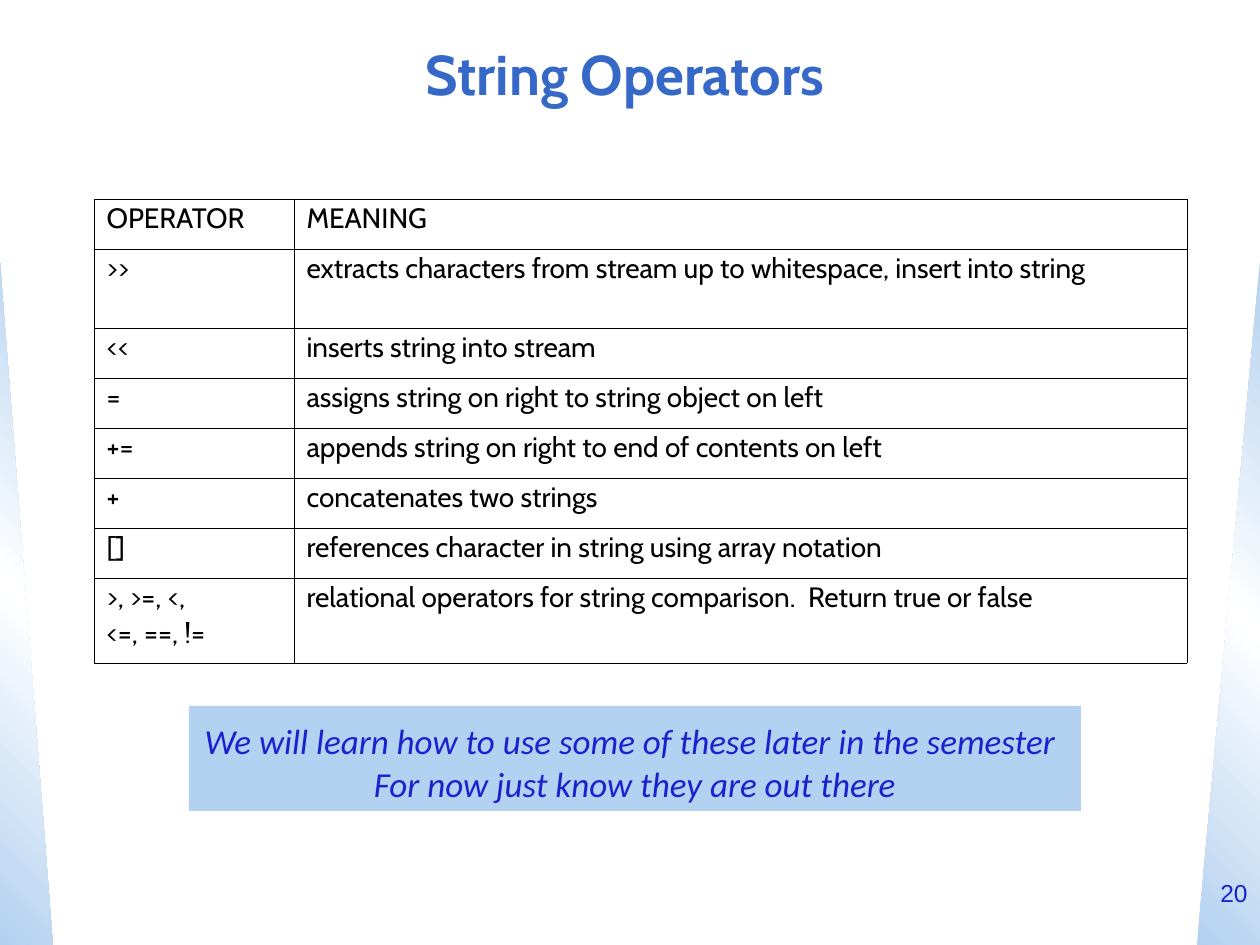
from copy import deepcopy
from dataclasses import dataclass

from lxml import etree
from pptx import Presentation
from pptx.dml.color import RGBColor
from pptx.enum.shapes import MSO_SHAPE
from pptx.enum.text import MSO_ANCHOR, PP_ALIGN
from pptx.oxml.ns import qn
from pptx.util import Emu, Pt

RECT, WEDGE = MSO_SHAPE.RECTANGLE, MSO_SHAPE.RIGHT_TRIANGLE
TOP, MIDDLE = MSO_ANCHOR.TOP, MSO_ANCHOR.MIDDLE
LEFT, CENTER, RIGHT = PP_ALIGN.LEFT, PP_ALIGN.CENTER, PP_ALIGN.RIGHT
SCALE = 914400 / 126


def px(count):
    return Emu(round(count * SCALE))


@dataclass(frozen=True)
class Font:
    name: str
    size: int
    color: str
    bold: bool = False
    italic: bool = False


@dataclass(frozen=True)
class Theme:
    pale: str = "B3D1F0"
    white: str = "FFFFFF"
    line: str = "000000"
    outer: float = 0.23
    inner: float = 0.11
    title: Font = Font("Cabin", 32, "3568C7", bold=True)
    cell: Font = Font("Cabin", 16, "000000")
    note: Font = Font("Calibri", 20, "1822CD", italic=True)
    space: Font = Font("Calibri", 24, "1822CD", italic=True)
    number: Font = Font("Arial", 14, "1822CD")


class Deck:
    def __init__(self, theme):
        self.theme = theme
        self.file = Presentation()
        self.file.slide_width, self.file.slide_height = px(1260), px(945)
        self.slide = self.file.slides.add_slide(self.file.slide_layouts[6])

    def put(self, frame, lines, align=LEFT, spacing=None, before=0):
        """Fill a frame; each line is a list of (text, font) runs."""
        frame.word_wrap = True
        for index, runs in enumerate(lines):
            para = frame.add_paragraph() if index else frame.paragraphs[0]
            para.alignment = align
            if spacing:
                para.line_spacing = spacing
            if index and before:
                para.space_before = Pt(before)
            for text, style in runs:
                run = para.add_run()
                run.text = text
                font = run.font
                font.name, font.size = style.name, Pt(style.size)
                font.bold, font.italic = style.bold, style.italic
                font.color.rgb = RGBColor.from_string(style.color)

    def shape(self, kind, box):
        shape = self.slide.shapes.add_shape(kind, *map(px, box))
        shape.shadow.inherit = False
        shape.line.fill.background()
        return shape

    def wedge(self, box, angle, flip=False):
        shape = self.shape(WEDGE, box)
        if flip:
            shape.element.spPr.xfrm.set("flipH", "1")
        fill = shape.fill
        fill.gradient()
        fill.gradient_angle = angle
        stops = shape.element.spPr.find(".//" + qn("a:gsLst"))
        stops.insert(1, deepcopy(stops[0]))
        colors = (self.theme.pale, self.theme.white, self.theme.pale)
        for stop, place, color in zip(fill.gradient_stops, (0, 0.5, 1), colors):
            stop.position = place
            stop.color.rgb = RGBColor.from_string(color)

    def text(self, box, lines, align, anchor=TOP):
        frame = self.slide.shapes.add_textbox(*map(px, box)).text_frame
        frame.vertical_anchor = anchor
        self.put(frame, lines, align)

    def panel(self, box, lines):
        shape = self.shape(RECT, box)
        shape.fill.solid()
        shape.fill.fore_color.rgb = RGBColor.from_string(self.theme.pale)
        shape.text_frame.vertical_anchor = TOP
        self.put(shape.text_frame, lines, CENTER)

    def border(self, cell, edges):
        """Draw the four sides; edges maps a side to whether it is outer."""
        props = cell._tc.get_or_add_tcPr()
        for side, outer in edges.items():
            width = self.theme.outer if outer else self.theme.inner
            line = etree.SubElement(props, qn("a:ln" + side), w=str(Pt(width)))
            fill = etree.SubElement(line, qn("a:solidFill"))
            etree.SubElement(fill, qn("a:srgbClr"), val=self.theme.line)

    def table(self, left, top, widths, heights, rows):
        box = (left, top, sum(widths), sum(heights))
        grid = self.slide.shapes.add_table(
            len(heights), len(widths), *map(px, box)).table
        grid.first_row = grid.horz_banding = False
        for col, width in zip(grid.columns, widths):
            col.width = px(width)
        for row, height in zip(grid.rows, heights):
            row.height = px(height)
        for y, row in enumerate(rows):
            for x, text in enumerate(row):
                cell = grid.cell(y, x)
                self.border(cell, {"L": x == 0, "R": x == len(widths) - 1,
                                   "T": y == 0, "B": y == len(heights) - 1})
                cell.fill.background()
                lines = [[(part, self.theme.cell)] for part in text.split("\n")]
                self.put(cell.text_frame, lines, spacing=0.86, before=4)


ROWS = [
    ("OPERATOR", "MEANING"),
    (">>", "extracts characters from stream up to whitespace, insert into string"),
    ("<<", "inserts string into stream"),
    ("=", "assigns string on right to string object on left"),
    ("+=", "appends string on right to end of contents on left"),
    ("+", "concatenates two strings"),
    ("[]", "references character in string using array notation"),
    (">, >=, <,\n<=, ==, !=",
     "relational operators for string comparison.  Return true or false"),
]


def main():
    theme = Theme()
    deck = Deck(theme)
    deck.wedge((0, 262, 53, 683), 45)
    deck.wedge((1197, 262, 63, 683), 315, flip=True)
    deck.text((32, 21, 1186, 105), [[("String Operators", theme.title)]],
              CENTER, MIDDLE)
    deck.table(94, 199, (200, 893), (50, 79, *[50] * 5, 85), ROWS)
    deck.panel((189, 706, 892, 105), [
        [("We will learn how to use some of these later in the semester",
          theme.note), (" ", theme.space)],
        [("For now just know they are out there", theme.note)],
    ])
    deck.text((1197, 872, 63, 73), [[("20", theme.number)]], RIGHT)
    deck.file.save("out.pptx")


if __name__ == "__main__":
    main()
